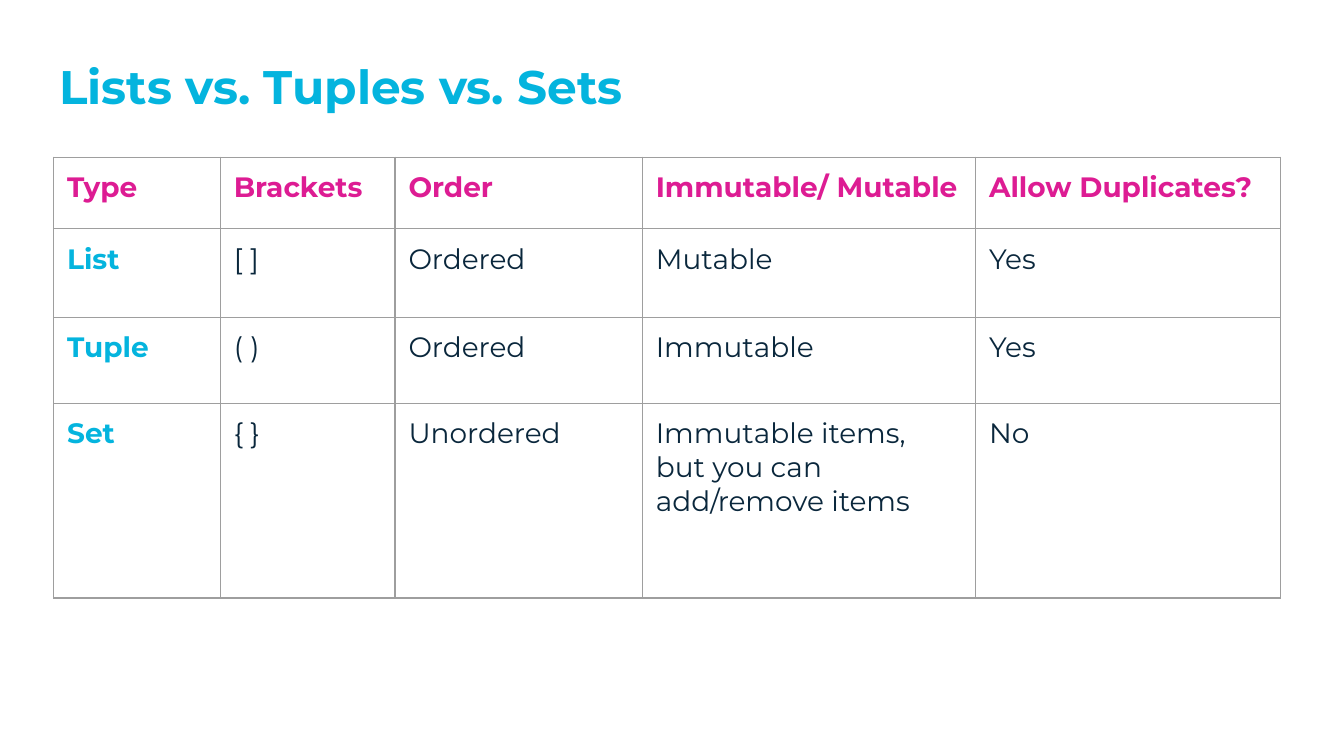
from dataclasses import dataclass

from lxml import etree
from pptx import Presentation
from pptx import util as u
from pptx.dml.color import RGBColor
from pptx.enum import text
from pptx.oxml import ns


@dataclass(frozen=True)
class Theme:
    font: str = "Montserrat"
    accent: str = "04B4DE"
    header: str = "DD1C93"
    body: str = "0A273C"
    border: str = "9E9E9E"
    background: str = "FFFFFF"
    title_size: float = 25.2
    cell_size: float = 15
    border_width: float = 0.75
    inset: float = 0.1


@dataclass(frozen=True)
class Collection:
    name: str
    brackets: str
    order: str
    mutability: str
    duplicates: str
    height: float

    def values(self) -> tuple[str, ...]:
        return self.name, self.brackets, self.order, self.mutability, self.duplicates


THEME = Theme()
PAGE_WIDTH = 10
PAGE_HEIGHT = PAGE_WIDTH * 9 / 16
COLUMN_WIDTHS = (1.24, 1.3, 1.84, 2.48, 2.27)
ROWS = (
    Collection("Type", "Brackets", "Order", "Immutable/ Mutable", "Allow Duplicates?", 0.53),
    Collection("List", "[ ]", "Ordered", "Mutable", "Yes", 0.66),
    Collection("Tuple", "( )", "Ordered", "Immutable", "Yes", 0.64),
    Collection("Set", "{ }", "Unordered", "Immutable items, but you can add/remove items", "No", 1.45),
)


def write(frame, words: str, *, size: float, color: str, bold: bool = False) -> None:
    paragraph = frame.paragraphs[0]
    paragraph.alignment = text.PP_ALIGN.LEFT
    span = paragraph.add_run()
    span.text = words
    span.font.name = THEME.font
    span.font.size = u.Pt(size)
    span.font.bold = bold
    span.font.color.rgb = RGBColor.from_string(color)


def set_insets(target) -> None:
    for side in ("left", "top", "right", "bottom"):
        setattr(target, f"margin_{side}", u.Inches(THEME.inset))


def add_borders(cell) -> None:
    properties = cell._tc.get_or_add_tcPr()
    for position, side in enumerate(("lnL", "lnR", "lnT", "lnB")):
        line = etree.Element(ns.qn(f"a:{side}"), w=str(u.Pt(THEME.border_width)))
        fill = etree.SubElement(line, ns.qn("a:solidFill"))
        etree.SubElement(fill, ns.qn("a:srgbClr"), val=THEME.border)
        properties.insert(position, line)


def cell_color(row: int, column: int) -> str:
    if row == 0:
        return THEME.header
    return THEME.accent if column == 0 else THEME.body


def add_title(page, words: str) -> None:
    title = page.shapes.title
    title.left, title.top = u.Inches(0.34), u.Inches(0.33)
    title.width, title.height = u.Inches(9.32), u.Inches(0.63)
    frame = title.text_frame
    frame.word_wrap = True
    frame.auto_size = text.MSO_AUTO_SIZE.NONE
    frame.vertical_anchor = text.MSO_ANCHOR.TOP
    set_insets(frame)
    write(frame, words, size=THEME.title_size, color=THEME.accent, bold=True)


def add_comparison(page, rows: tuple[Collection, ...]) -> None:
    table = page.shapes.add_table(
        len(rows), len(COLUMN_WIDTHS), u.Inches(0.4), u.Inches(1.17),
        u.Inches(sum(COLUMN_WIDTHS)), u.Inches(sum(row.height for row in rows)),
    ).table
    table.first_row = False
    table.horz_banding = False
    for column, width in zip(table.columns, COLUMN_WIDTHS):
        column.width = u.Inches(width)
    for row_index, row in enumerate(rows):
        table.rows[row_index].height = u.Inches(row.height)
        for column_index, words in enumerate(row.values()):
            cell = table.cell(row_index, column_index)
            cell.fill.background()
            cell.vertical_anchor = text.MSO_ANCHOR.TOP
            set_insets(cell)
            add_borders(cell)
            write(
                cell.text_frame, words, size=THEME.cell_size,
                color=cell_color(row_index, column_index),
                bold=row_index == 0 or column_index == 0,
            )


def main() -> None:
    deck = Presentation()
    deck.slide_width, deck.slide_height = u.Inches(PAGE_WIDTH), u.Inches(PAGE_HEIGHT)
    page = deck.slides.add_slide(deck.slide_layouts.get_by_name("Title Only"))
    page.background.fill.solid()
    page.background.fill.fore_color.rgb = RGBColor.from_string(THEME.background)
    add_title(page, "Lists vs. Tuples vs. Sets")
    add_comparison(page, ROWS)
    deck.save("out.pptx")


if __name__ == "__main__":
    main()
